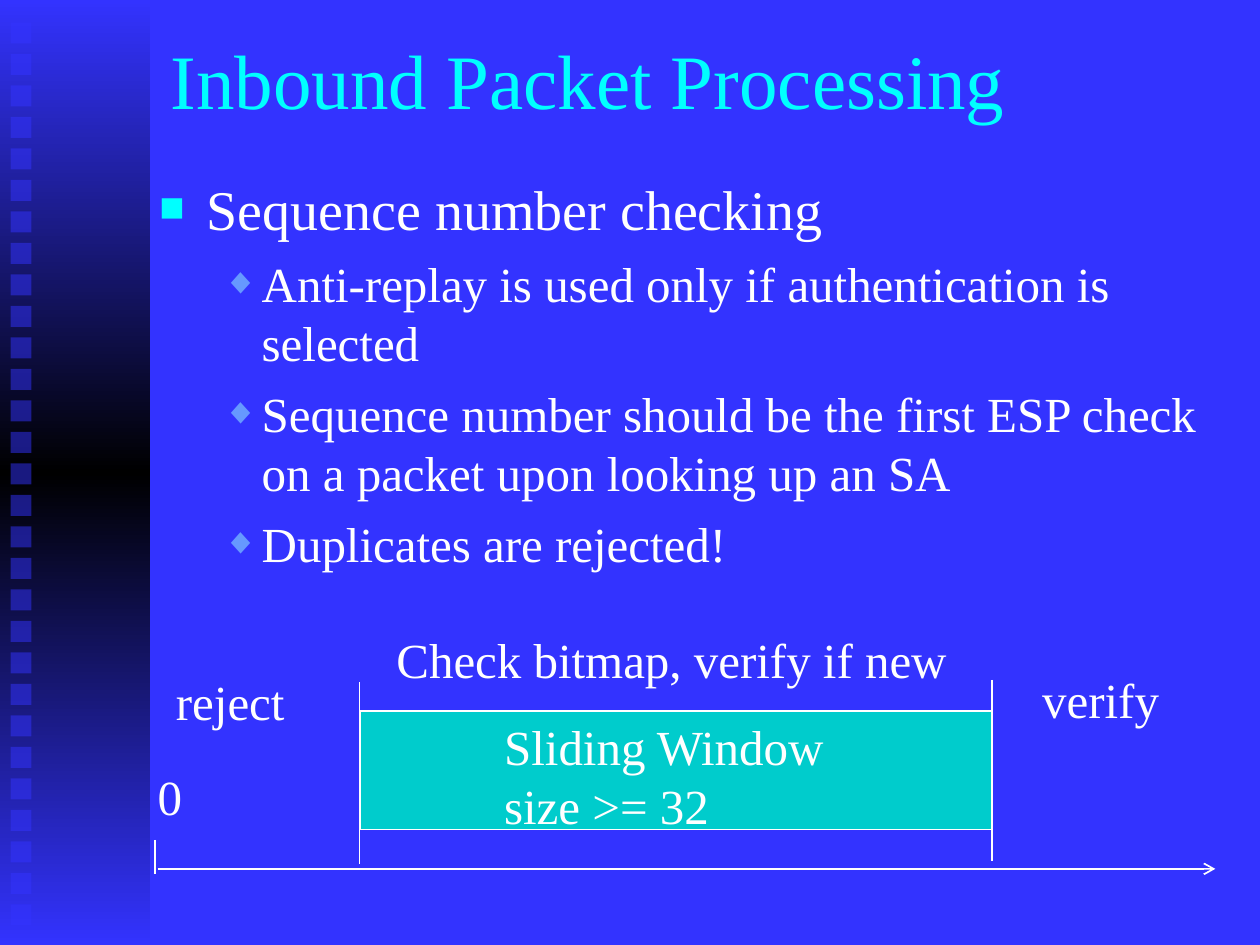
import copy

import pptx
import pptx.dml.color
import pptx.enum.shapes
import pptx.enum.text
import pptx.oxml
import pptx.oxml.ns
import pptx.util

Pt = pptx.util.Pt
FONT = "Times New Roman"
COLORS = {
    "background": "3333FF",
    "black": "000000",
    "title": "00FFFF",
    "text": "FFFFFF",
    "diamond": "6699FF",
    "window": "00CCCC",
}

# Bullet styles by level: symbol, colour, left margin, hanging indent, text size, space before
LEVELS = [
    ("■", "title", 27, 27, 32, 8),
    ("◆", "diamond", 58.5, 22.5, 28, 7),
]
BULLETS = [
    (0, "Sequence number checking"),
    (1, "Anti-replay is used only if authentication is selected"),
    (1, "Sequence number should be the first ESP check on a packet upon looking up an SA"),
    (1, "Duplicates are rejected!"),
]
LABELS = [
    (83, 434.5, 28.4, 41, ["0"]),
    (281, 406, 198, 75, ["Sliding Window", "size >= 32"]),
    (93.5, 380, 77, 41, ["reject"]),
    (219.5, 356, 329, 41, ["Check bitmap, verify if new"]),
    (588.5, 379, 81, 41, ["verify"]),
]


def color(name):
    return pptx.dml.color.RGBColor.from_string(COLORS[name])


def element(tag, **attributes):
    node = pptx.oxml.parse_xml(f"<a:{tag} {pptx.oxml.ns.nsdecls('a')}/>")
    for key, value in attributes.items():
        node.set(key, str(value))
    return node


def add_rectangle(page, left, top, width, height, fill, outline=None):
    shape = page.shapes.add_shape(
        pptx.enum.shapes.MSO_SHAPE.RECTANGLE, Pt(left), Pt(top), Pt(width), Pt(height))
    shape.shadow.inherit = False
    shape.fill.solid()
    shape.fill.fore_color.rgb = color(fill)
    if outline:
        shape.line.color.rgb = color(outline)
        shape.line.width = Pt(1)
    else:
        shape.line.fill.background()
    return shape


def add_line(page, start_x, start_y, end_x, end_y, arrow=False):
    line = page.shapes.add_connector(
        pptx.enum.shapes.MSO_CONNECTOR.STRAIGHT,
        Pt(start_x), Pt(start_y), Pt(end_x), Pt(end_y))
    line.line.color.rgb = color("text")
    line.line.width = Pt(1)
    if arrow:
        line.line._get_or_add_ln().append(element("tailEnd", type="arrow"))
    line._element.spPr.append(element("effectLst"))


def add_box(page, left, top, width, height, wrap=True):
    box = page.shapes.add_textbox(Pt(left), Pt(top), Pt(width), Pt(height))
    frame = box.text_frame
    frame.word_wrap = wrap
    if not wrap:
        frame.auto_size = pptx.enum.text.MSO_AUTO_SIZE.SHAPE_TO_FIT_TEXT
    return frame


def add_para(frame, index, text, size, fill="text"):
    para = frame.add_paragraph() if index else frame.paragraphs[0]
    span = para.add_run()
    span.text = text
    span.font.name = FONT
    span.font.size = Pt(size)
    span.font.color.rgb = color(fill)
    return para


def add_bullet(para, level):
    symbol, fill, margin, hanging, _, _ = LEVELS[level]
    properties = para._p.get_or_add_pPr()
    properties.set("marL", str(Pt(margin)))
    properties.set("indent", str(-Pt(hanging)))
    bullet_color = element("buClr")
    bullet_color.append(element("srgbClr", val=COLORS[fill]))
    properties.append(bullet_color)
    properties.append(element("buSzPct", val=75000))
    properties.append(element("buFont", typeface=FONT))
    properties.append(element("buChar", char=symbol))


def add_side_band(page):
    band = add_rectangle(page, 0, 0, 85.7, 540, "background")
    band.fill.gradient()
    band.fill.gradient_angle = 90
    first, middle = band.fill.gradient_stops
    first.color.rgb = color("background")
    first.position = 0
    middle.color.rgb = color("black")
    middle.position = 0.5
    last = copy.deepcopy(first._gs)
    last.set("pos", "100000")
    middle._gs.addnext(last)

    # Column of evenly spaced, half transparent squares
    for row in range(29):
        square = add_rectangle(page, 6, 12.75 + 18 * row, 12, 12, "background")
        fill_color = square._element.spPr.find(".//" + pptx.oxml.ns.qn("a:srgbClr"))
        fill_color.append(element("alpha", val=50000))


def add_bullet_list(page):
    frame = add_box(page, 84, 96, 612, 249)
    for index, (level, text) in enumerate(BULLETS):
        *_, size, space = LEVELS[level]
        para = add_para(frame, index, text, size)
        para.level = level
        add_bullet(para, level)
        if index:
            para.space_before = Pt(space)


def add_window_diagram(page):
    add_rectangle(page, 205.5, 406.5, 361.5, 67.5, "window", "text")
    add_line(page, 205.5, 390, 205.5, 493.5)
    add_line(page, 567, 388.5, 567, 492)
    # Sequence number axis with its origin mark
    add_line(page, 90, 496.5, 694.5, 496.5, arrow=True)
    add_line(page, 88.5, 480, 88.5, 499.5)
    for left, top, width, height, lines in LABELS:
        frame = add_box(page, left, top, width, height, wrap=False)
        for index, text in enumerate(lines):
            add_para(frame, index, text, 28)


def main():
    deck = pptx.Presentation()
    deck.slide_width, deck.slide_height = Pt(720), Pt(540)
    page = deck.slides.add_slide(deck.slide_layouts[6])
    page.background.fill.solid()
    page.background.fill.fore_color.rgb = color("background")

    # Decoration at the left
    add_side_band(page)

    # Title and bullets
    title = add_box(page, 90.5, 0, 612, 90)
    title.vertical_anchor = pptx.enum.text.MSO_ANCHOR.MIDDLE
    add_para(title, 0, "Inbound Packet Processing", 44, "title")
    add_bullet_list(page)

    # Sliding window along the axis
    add_window_diagram(page)
    deck.save("out.pptx")


if __name__ == "__main__":
    main()
